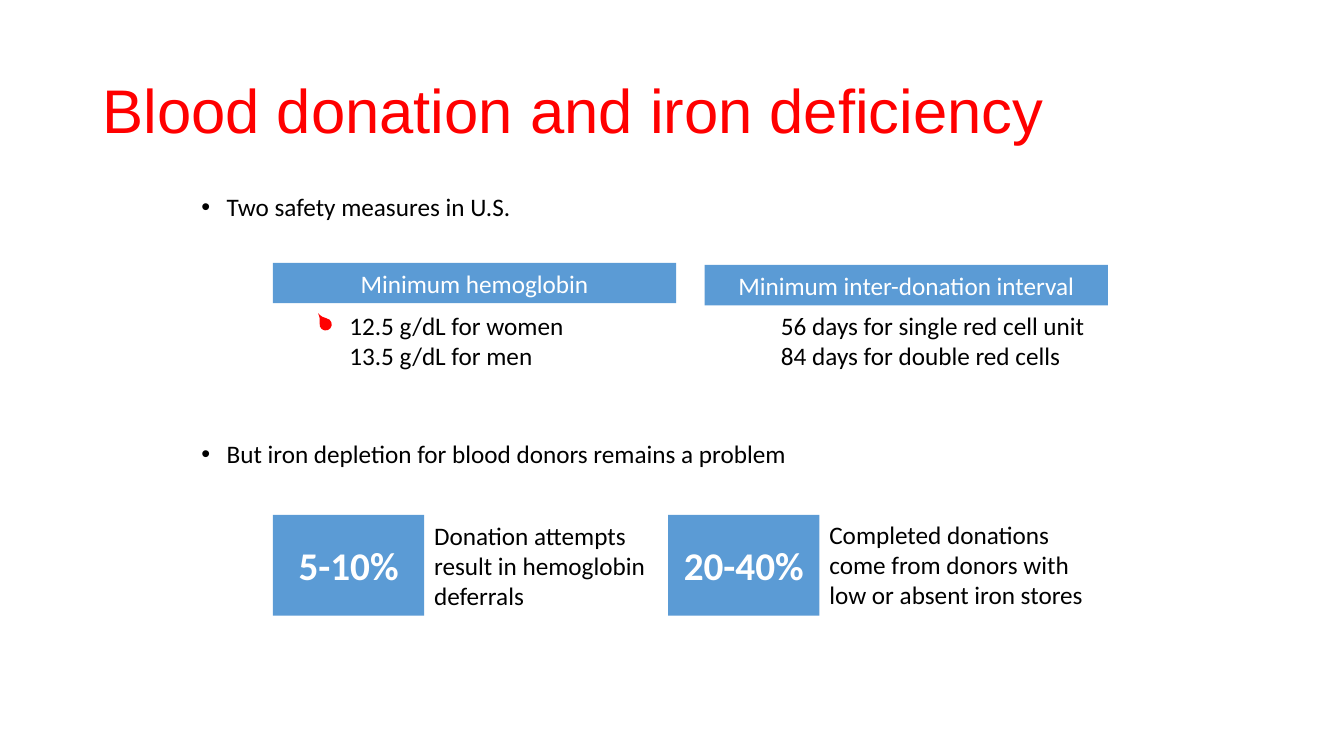
"""Build the slide on blood donation and iron deficiency."""
from typing import NamedTuple

from lxml.etree import SubElement
from pptx import Presentation
from pptx.dml.color import RGBColor
from pptx.enum.shapes import MSO_SHAPE as Preset
from pptx.enum.text import MSO_ANCHOR as Anchor, MSO_AUTO_SIZE as AutoSize, PP_ALIGN as Align
from pptx.oxml.ns import qn
from pptx.util import Inches, Pt

COLORS = {"accent": "5B9BD5", "alert": "FF0000", "text": "000000", "inverse": "FFFFFF"}
CELL = Inches(7.5) / 18
COLUMNS, ROWS = 32, 18
BODY_SIZE, FIGURE_SIZE, TITLE_SIZE = 18, 28, 44
LEFT_COLUMN = 6.5
HEADER_WIDTH, HEADER_HEIGHT = 9.6, 0.96
LIMITS_INDENT, LIMITS_ROW, LIMITS_HEIGHT = 1.58, 7.27, 1.7
FIGURE_WIDTH, FIGURE_HEIGHT = 3.6, 2.4


class Box(NamedTuple):
    column: float
    row: float
    width: float
    height: float


class Measure(NamedTuple):
    name: str
    limits: list[str]
    column: float
    row: float
    limits_width: float


class Finding(NamedTuple):
    figure: str
    meaning: str
    column: float
    row: float
    meaning_width: float


MEASURES = [
    Measure("Minimum hemoglobin", ["12.5 g/dL for women", "13.5 g/dL for men"],
            LEFT_COLUMN, 6.26, 6.91),
    Measure("Minimum inter-donation interval",
            ["56 days for single red cell unit", "84 days for double red cells"],
            16.78, 6.31, 8.02),
]
FINDINGS = [
    Finding("5-10%", "Donation attempts result in hemoglobin deferrals",
            LEFT_COLUMN, 12.26, 5.9),
    Finding("20-40%", "Completed donations come from donors with low or absent iron stores",
            15.91, 12.24, 7.15),
]
POINTS = ["Two safety measures in U.S.", "But iron depletion for blood donors remains a problem"]


def on_grid(box: Box) -> list[int]:
    return [round(cells * CELL) for cells in box]


def color(name: str) -> RGBColor:
    return RGBColor.from_string(COLORS[name])


def style(paragraph, size: int, color_name: str, family: str = "Calibri", bold: bool = False) -> None:
    font = paragraph.font
    font.size, font.name, font.bold = Pt(size), family, bold
    font.color.rgb = color(color_name)


def add_text(slide, box: Box, lines: list[str], anchor=Anchor.TOP):
    frame = slide.shapes.add_textbox(*on_grid(box)).text_frame
    frame.word_wrap = True
    frame.vertical_anchor = anchor
    frame.text = "\n".join(lines)
    for paragraph in frame.paragraphs:
        style(paragraph, BODY_SIZE, "text")
    return frame


def add_filled(slide, preset: Preset, box: Box, fill: str):
    shape = slide.shapes.add_shape(preset, *on_grid(box))
    shape.shadow.inherit = False
    shape.fill.solid()
    shape.fill.fore_color.rgb = color(fill)
    shape.line.fill.background()
    return shape


def add_label(slide, box: Box, text: str, size: int, bold: bool = False) -> None:
    frame = add_filled(slide, Preset.RECTANGLE, box, "accent").text_frame
    frame.word_wrap = True
    frame.vertical_anchor = Anchor.MIDDLE
    frame.text = text
    paragraph = frame.paragraphs[0]
    paragraph.alignment = Align.CENTER
    style(paragraph, size, "inverse", bold=bold)


def set_title(slide) -> None:
    title = slide.shapes.title
    title.left, title.top, title.width, title.height = on_grid(Box(2.2, 0.96, 27.6, 3.48))
    frame = title.text_frame
    frame.text = "Blood donation and iron deficiency"
    frame.auto_size = AutoSize.NONE
    frame.vertical_anchor = Anchor.MIDDLE
    heading = frame.paragraphs[0]
    heading.alignment = Align.LEFT
    heading.line_spacing = 0.9
    style(heading, TITLE_SIZE, "alert", "Arial")


def add_points(slide) -> None:
    frame = slide.shapes.add_textbox(*on_grid(Box(4.56, 4.51, 20.2, 9.72))).text_frame
    frame.word_wrap = True
    frame.text = "\n".join(POINTS)
    for paragraph in frame.paragraphs:
        properties = paragraph._p.get_or_add_pPr()
        properties.set("marL", str(Inches(0.25)))
        properties.set("indent", str(-Inches(0.25)))
        SubElement(properties, qn("a:buFont"), typeface="Arial")
        SubElement(properties, qn("a:buChar"), char="•")
        paragraph.line_spacing = 0.9
        style(paragraph, BODY_SIZE, "text")
    frame.paragraphs[1].space_before = Pt(157)


def add_measure(slide, measure: Measure) -> None:
    header = Box(measure.column, measure.row, HEADER_WIDTH, HEADER_HEIGHT)
    add_label(slide, header, measure.name, BODY_SIZE)
    limits = Box(measure.column + LIMITS_INDENT, LIMITS_ROW, measure.limits_width, LIMITS_HEIGHT)
    add_text(slide, limits, measure.limits)


def add_finding(slide, finding: Finding) -> None:
    figure = Box(finding.column, FINDINGS[0].row, FIGURE_WIDTH, FIGURE_HEIGHT)
    add_label(slide, figure, finding.figure, FIGURE_SIZE, bold=True)
    meaning = Box(finding.column + FIGURE_WIDTH, finding.row, finding.meaning_width, FIGURE_HEIGHT)
    add_text(slide, meaning, [finding.meaning], Anchor.MIDDLE)


def add_blood_drop(slide) -> None:
    drop = add_filled(slide, Preset.TEAR, Box(7.61, 7.58, 0.29, 0.29), "alert")
    drop.adjustments[0] = 1.56
    drop.rotation = 280.6


def main() -> None:
    deck = Presentation()
    deck.slide_width, deck.slide_height = round(COLUMNS * CELL), round(ROWS * CELL)
    slide = deck.slides.add_slide(deck.slide_layouts[5])
    set_title(slide)
    add_points(slide)
    for measure in MEASURES:
        add_measure(slide, measure)
    add_blood_drop(slide)
    for finding in FINDINGS:
        add_finding(slide, finding)
    deck.save("out.pptx")


if __name__ == "__main__":
    main()
